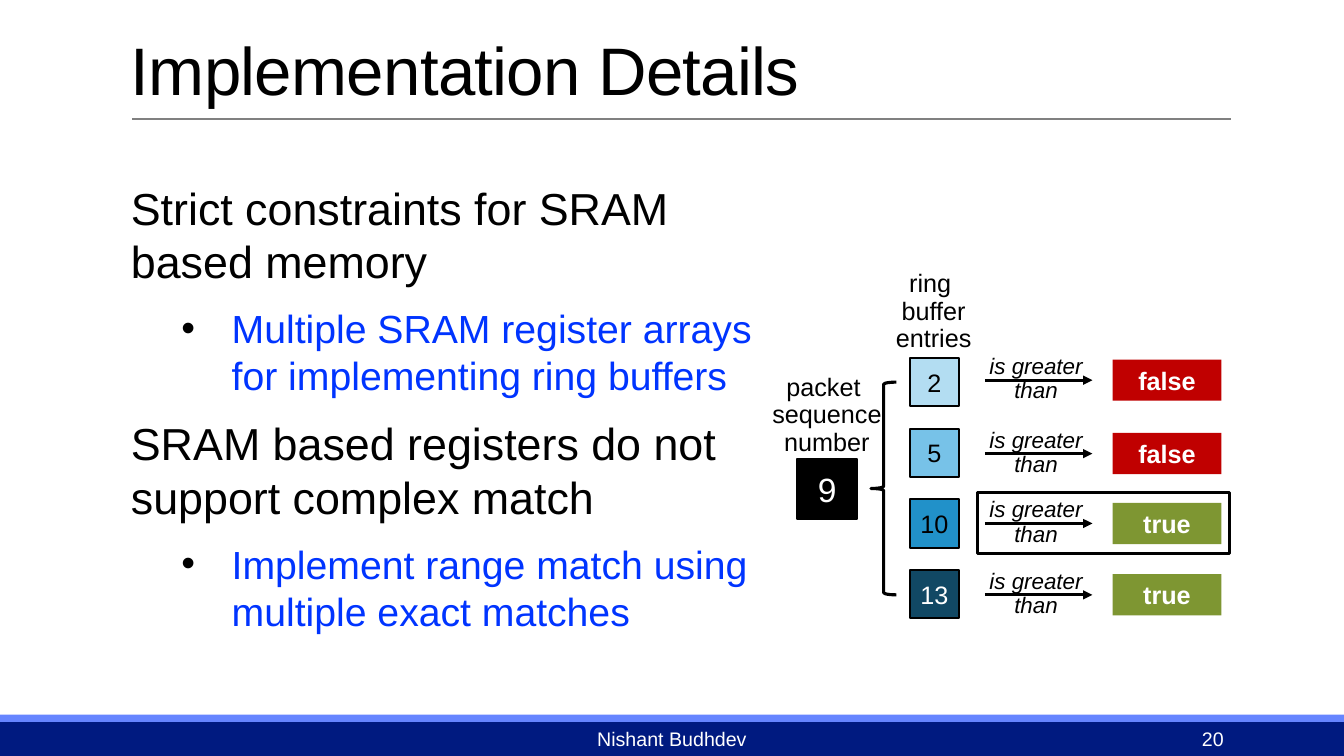
"""Build the slide on range matching with ring buffers in SRAM registers."""
from lxml.etree import SubElement
from pptx import Presentation
from pptx.dml.color import RGBColor
from pptx.enum.shapes import MSO_CONNECTOR as Connector, MSO_SHAPE as Shape
from pptx.enum.text import MSO_ANCHOR as Anchor, PP_ALIGN as Align
from pptx.oxml.ns import qn
from pptx.util import Cm, Pt

hex_color = RGBColor.from_string
BLACK, WHITE, BLUE = "000000", "FFFFFF", "0034FF"

deck = Presentation()
deck.slide_width, deck.slide_height = Cm(33.87), Cm(19.05)
page = deck.slides.add_slide(deck.slide_layouts[6])


def add_item(kind, place, fill=None, line=None, texts=(), size=18, color=BLACK,
             align=Align.CENTER, anchor=Anchor.MIDDLE, spacing=None, **font):
    """Add a preset shape, or a text box when kind is None, with its paragraphs."""
    place = [Cm(length) for length in place]
    if kind is None:
        box = page.shapes.add_textbox(*place)
    else:
        box = page.shapes.add_shape(kind, *place)
        box.shadow.inherit = False
    if fill:
        box.fill.solid()
        box.fill.fore_color.rgb = hex_color(fill)
    else:
        box.fill.background()
    if line:
        box.line.width = Pt(line)
        box.line.color.rgb = hex_color(BLACK)
    else:
        box.line.fill.background()
    frame = box.text_frame
    frame.word_wrap = kind is None
    frame.vertical_anchor = anchor
    for number, text in enumerate(texts):
        para = frame.add_paragraph() if number else frame.paragraphs[0]
        para.alignment, para.line_spacing = align, spacing
        span = para.add_run()
        span.text = text
        span.font.color.rgb = hex_color(color)
        for name, value in {"name": "Arial", "size": Pt(size), **font}.items():
            setattr(span.font, name, value)
    return box


def add_line(left, right, y, color, width, arrow=False):
    """Add a horizontal line, with an arrowhead at its right end if asked."""
    line = page.shapes.add_connector(Connector.STRAIGHT, Cm(left), Cm(y), Cm(right), Cm(y))
    line.line.color.rgb = hex_color(color)
    line.line.width = Pt(width)
    if arrow:
        SubElement(line.line._get_or_add_ln(), qn("a:tailEnd"), type="triangle")
    SubElement(line._element.spPr, qn("a:effectLst"))


add_item(Shape.RECTANGLE, (0, 18.19, 33.87, 0.86), "001A80")
add_item(Shape.RECTANGLE, (0, 18.01, 33.87, 0.18), "6685FF")
add_line(3.33, 31.01, 3, "808080", 2)

title = add_item(None, (3.05, -1.17, 27.94, 4.04), texts=["Implementation Details"], size=48,
                 align=Align.LEFT, anchor=Anchor.BOTTOM, spacing=0.85)
title.text_frame.paragraphs[0].runs[0].font._element.set("spc", "-50")
add_item(None, (10.24, 18.26, 13.39, 0.69), texts=["Nishant Budhdev"], size=14, color=WHITE)
add_item(None, (27.46, 18.26, 3.63, 0.69), texts=["20"], size=14, color=WHITE, align=Align.RIGHT)

points = [
    "Strict constraints for SRAM based memory",
    "Multiple SRAM register arrays for implementing ring buffers",
    "SRAM based registers do not support complex match",
    "Implement range match using multiple exact matches",
]
body = add_item(None, (3.05, 4.42, 16.21, 12.14), texts=points, size=32,
                align=Align.LEFT, anchor=Anchor.TOP)
for para in body.text_frame.paragraphs:
    para.space_after = Pt(12)
for para in body.text_frame.paragraphs[1::2]:
    para.level = 1
    para.runs[0].font.size = Pt(28)
    para.runs[0].font.color.rgb = hex_color(BLUE)
    properties = para._p.get_or_add_pPr()
    properties.set("marL", str(Cm(2.54)))
    properties.set("indent", str(-Cm(1.27)))
    bullet_color = SubElement(properties, qn("a:buClr"))
    SubElement(bullet_color, qn("a:srgbClr"), val=BLACK)
    SubElement(properties, qn("a:buFont"), typeface="Arial")
    SubElement(properties, qn("a:buChar"), char="•")

add_item(Shape.RECTANGLE, (20.09, 11.56, 1.52, 1.52), BLACK, 1.5, ["9"], 24, WHITE)
add_item(Shape.LEFT_BRACE, (21.95, 9.63, 0.64, 5.36), line=2.25)

entries = [
    ("2", "B3DDF2", BLACK, 9.58, "false"),
    ("5", "77C2E8", BLACK, 11.43, "false"),
    ("10", "2191C9", BLACK, 13.19, "true"),
    ("13", "114864", WHITE, 14.99, "true"),
]
result_fills = {"false": "C00000", "true": "7E9632"}
for row, (entry, fill, color, arrow_y, result) in enumerate(entries):
    add_item(Shape.RECTANGLE, (22.94, 9.02 + 1.78 * row, 1.22, 1.22), fill, 1.5, [entry],
             color=color)
    add_line(24.82, 27.53, arrow_y, BLACK, 2.25, arrow=True)
    add_item(None, (24.66, arrow_y - 0.75, 2.9, 1.5), texts=["is greater", "than"], size=16,
             anchor=Anchor.TOP, spacing=0.9, italic=True)
    add_item(Shape.RECTANGLE, (28.04, arrow_y - 0.52, 2.74, 1.04), result_fills[result],
             texts=[result], color=WHITE, bold=True)

captions = [
    (19.2, 9.32, ["packet ", "sequence ", "number"]),
    (21.89, 6.71, ["ring ", "buffer", "entries"]),
]
for left, top, words in captions:
    add_item(None, (left, top, 3.28, 2.34), texts=words, anchor=Anchor.TOP, spacing=0.9)
add_item(Shape.RECTANGLE, (24.64, 12.42, 6.35, 1.52), line=2.25)

deck.save("out.pptx")
